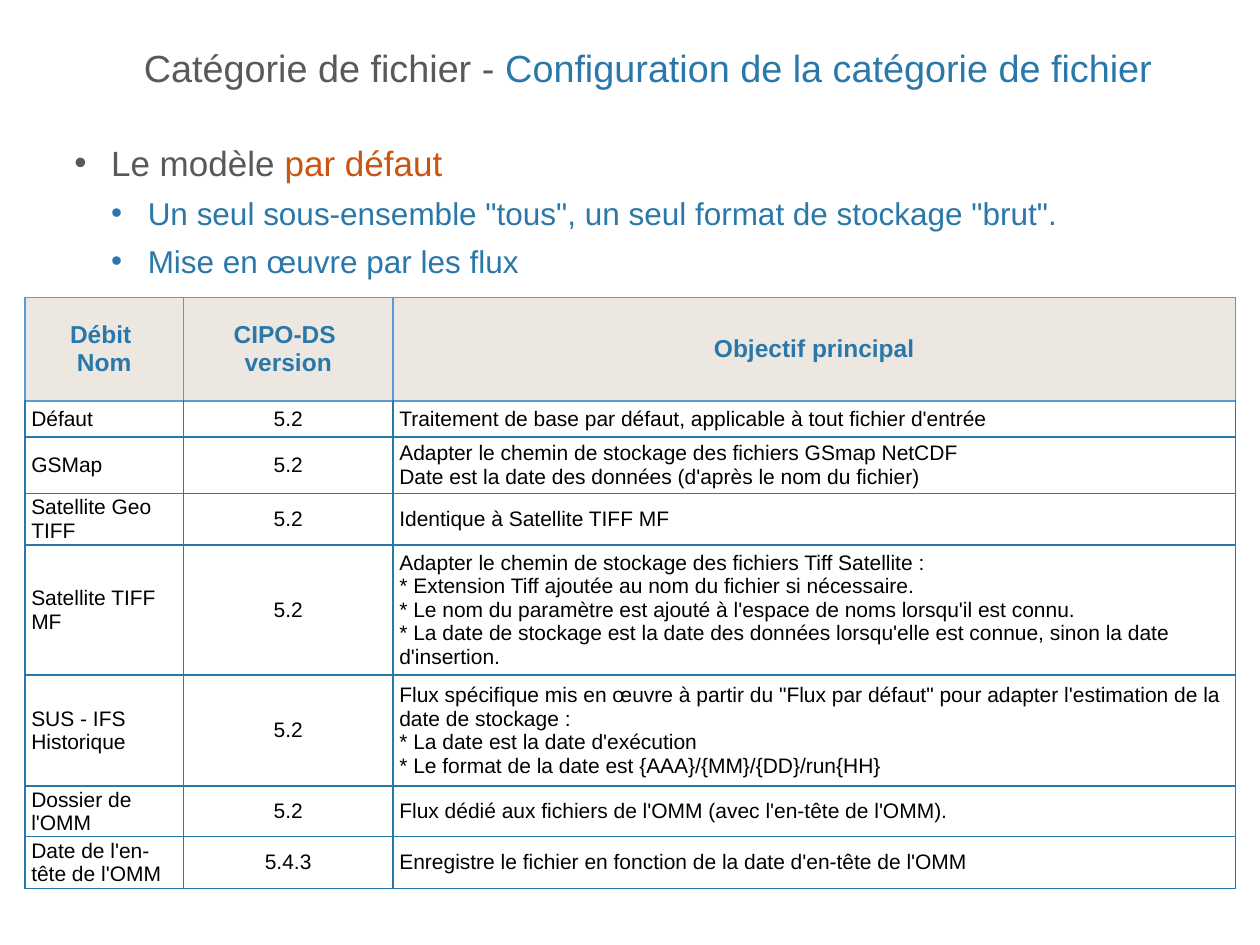
"""Build the slide on the default file category model and its flows."""
from copy import deepcopy

from lxml.etree import SubElement
from pptx import Presentation
from pptx.dml.color import RGBColor as RGB
from pptx.enum.text import MSO_ANCHOR as ANC, PP_ALIGN as AL
from pptx.oxml.ns import qn
from pptx.util import Cm, Pt

COLORS = {"text": "58595B", "blue": "2A78AA", "accent": "CA5411", "head": "ECE8E1",
          "head_line": "5B9BD5", "white": "FFFFFF", "black": "000000"}
COLS = [3.2, 4.22, 16.99]
ROW_HEIGHTS = [2.08, 0.73, 1.14, 1.04, 2.62, 2.24, 0.95, 1.04]
HEADER = [["Débit ", "Nom"], ["CIPO-DS \nversion"], ["Objectif principal"]]
FLOWS = [
    ("Défaut", "5.2", "Traitement de base par défaut, applicable à tout fichier d'entrée"),
    ("GSMap", "5.2", "Adapter le chemin de stockage des fichiers GSmap NetCDF\n"
     "Date est la date des données (d'après le nom du fichier)"),
    ("Satellite Geo TIFF", "5.2", "Identique à Satellite TIFF MF"),
    ("Satellite TIFF MF", "5.2", "Adapter le chemin de stockage des fichiers Tiff Satellite :\n"
     "* Extension Tiff ajoutée au nom du fichier si nécessaire.\n"
     "* Le nom du paramètre est ajouté à l'espace de noms lorsqu'il est connu.\n"
     "* La date de stockage est la date des données lorsqu'elle est connue, "
     "sinon la date d'insertion."),
    ("SUS - IFS Historique", "5.2", "Flux spécifique mis en œuvre à partir du \"Flux par défaut\" "
     "pour adapter l'estimation de la date de stockage :\n"
     "* La date est la date d'exécution\n"
     "* Le format de la date est {AAA}/{MM}/{DD}/run{HH}"),
    ("Dossier de l'OMM", "5.2", "Flux dédié aux fichiers de l'OMM (avec l'en-tête de l'OMM)."),
    ("Date de l'en-tête de l'OMM", "5.4.3",
     "Enregistre le fichier en fonction de la date d'en-tête de l'OMM"),
]


def set_all(obj, values):
    """Set each attribute named in a dict of values."""
    for name, value in values.items():
        setattr(obj, name, value)


class SlideBuilder:
    """Hold the style and the current slide."""

    font = "Arial"
    frame = {"word_wrap": True, "margin_left": 0, "margin_right": 0,
             "margin_top": Cm(0.13), "margin_bottom": Cm(0.13)}
    cell_format = {"vertical_anchor": ANC.MIDDLE, "margin_left": Cm(0.13),
                   "margin_right": Cm(0.13), "margin_top": 0, "margin_bottom": 0}

    def __init__(self, prs):
        """Add a title-only slide."""
        self.s = prs.slides.add_slide(prs.slide_layouts[5])

    def add_runs(self, p, runs, size, bold=False):
        """Add (text, colour) runs, with line breaks at newlines."""
        for text, color in runs:
            for i, line in enumerate(text.split("\n")):
                if i:
                    p.add_line_break()
                    p._p[-1].append(deepcopy(r._r.rPr))
                r = p.add_run()
                r.text = line
                set_all(r.font, {"name": self.font, "size": Pt(size), "bold": bold})
                r.font.color.rgb = RGB.from_string(COLORS[color])

    def title(self, box, runs, size):
        """Place and fill the title placeholder."""
        sp = self.s.shapes.title
        set_all(sp, dict(zip(("left", "top", "width", "height"), map(Cm, box))))
        set_all(sp.text_frame, {**self.frame, "vertical_anchor": ANC.BOTTOM})
        p = sp.text_frame.paragraphs[0]
        set_all(p, {"alignment": AL.LEFT, "line_spacing": 0.9})
        self.add_runs(p, runs, size)

    def bullets(self, box, items):
        """Add a bulleted list of (level, size, runs) items."""
        tf = self.s.shapes.add_textbox(*map(Cm, box)).text_frame
        set_all(tf, self.frame)
        for i, (level, size, runs) in enumerate(items):
            p = tf.add_paragraph() if i else tf.paragraphs[0]
            set_all(p, {"level": level, "space_before": Pt(6 if i else 0)})
            pPr = p._p.get_or_add_pPr()
            pPr.set("marL", str(Cm(0.74) * (level + 1)))
            pPr.set("indent", str(-Cm(0.74)))
            SubElement(SubElement(pPr, qn("a:buClr")), qn("a:srgbClr"), val=COLORS[runs[0][1]])
            SubElement(pPr, qn("a:buFont"), typeface=self.font)
            SubElement(pPr, qn("a:buChar"), char="•")
            self.add_runs(p, runs, size)

    def border(self, cell, sides):
        """Draw one-point lines on the sides of a cell."""
        tcPr = cell._tc.get_or_add_tcPr()
        for i, (side, color) in enumerate(sides.items()):
            ln = SubElement(tcPr, qn(f"a:ln{side}"), w=str(Pt(1)))
            tcPr.insert(i, ln)
            SubElement(SubElement(ln, qn("a:solidFill")), qn("a:srgbClr"), val=COLORS[color])

    def cell(self, cell, lines, align, size, color, fill, sides, bold=False):
        """Fill one cell with paragraphs, a background and borders."""
        set_all(cell, self.cell_format)
        cell.fill.solid()
        cell.fill.fore_color.rgb = RGB.from_string(COLORS[fill])
        tf = cell.text_frame
        for i, line in enumerate(lines):
            p = tf.add_paragraph() if i else tf.paragraphs[0]
            p.alignment = align
            self.add_runs(p, [(line, color)], size, bold)
        self.border(cell, sides)

    def table(self, left, top, widths, heights, header, rows):
        """Add the table with its header and flow rows."""
        box = map(Cm, (left, top, sum(widths), sum(heights)))
        tbl = self.s.shapes.add_table(len(heights), len(widths), *box).table
        set_all(tbl, {"first_row": False, "horz_banding": False})
        for col, width in zip(tbl.columns, widths):
            col.width = Cm(width)
        for row, height in zip(tbl.rows, heights):
            row.height = Cm(height)
        head_sides = dict.fromkeys("LRTB", "head_line")
        for j, lines in enumerate(header):
            self.cell(tbl.cell(0, j), lines, AL.CENTER, 14, "blue", "head", head_sides, True)
        for i, row in enumerate(rows, 1):
            sides = {**dict.fromkeys("LRTB", "blue"), "T": "head_line" if i == 1 else "blue"}
            for j, text in enumerate(row):
                align = AL.CENTER if j == 1 else AL.LEFT
                self.cell(tbl.cell(i, j), [text], align, 12, "black", "white", sides)


def main():
    """Build and save the presentation."""
    prs = Presentation()
    set_all(prs, {"slide_width": Cm(25.4), "slide_height": Cm(19.05)})
    slide = SlideBuilder(prs)
    slide.title((2.9, 0, 21, 1.96), [("Catégorie de fichier - ", "text"),
                                     ("Configuration de la catégorie de fichier", "blue")], 21.6)
    slide.bullets((1.5, 2.72, 23.2, 15.8), [
        (0, 20, [("Le modèle ", "text"), ("par défaut", "accent")]),
        (1, 18, [("Un seul sous-ensemble \"tous\", un seul format de stockage \"brut\".", "blue")]),
        (1, 18, [("Mise en œuvre par les flux", "blue")]),
    ])
    slide.table(0.5, 6, COLS, ROW_HEIGHTS, HEADER, FLOWS)
    prs.save("out.pptx")


if __name__ == "__main__":
    main()
